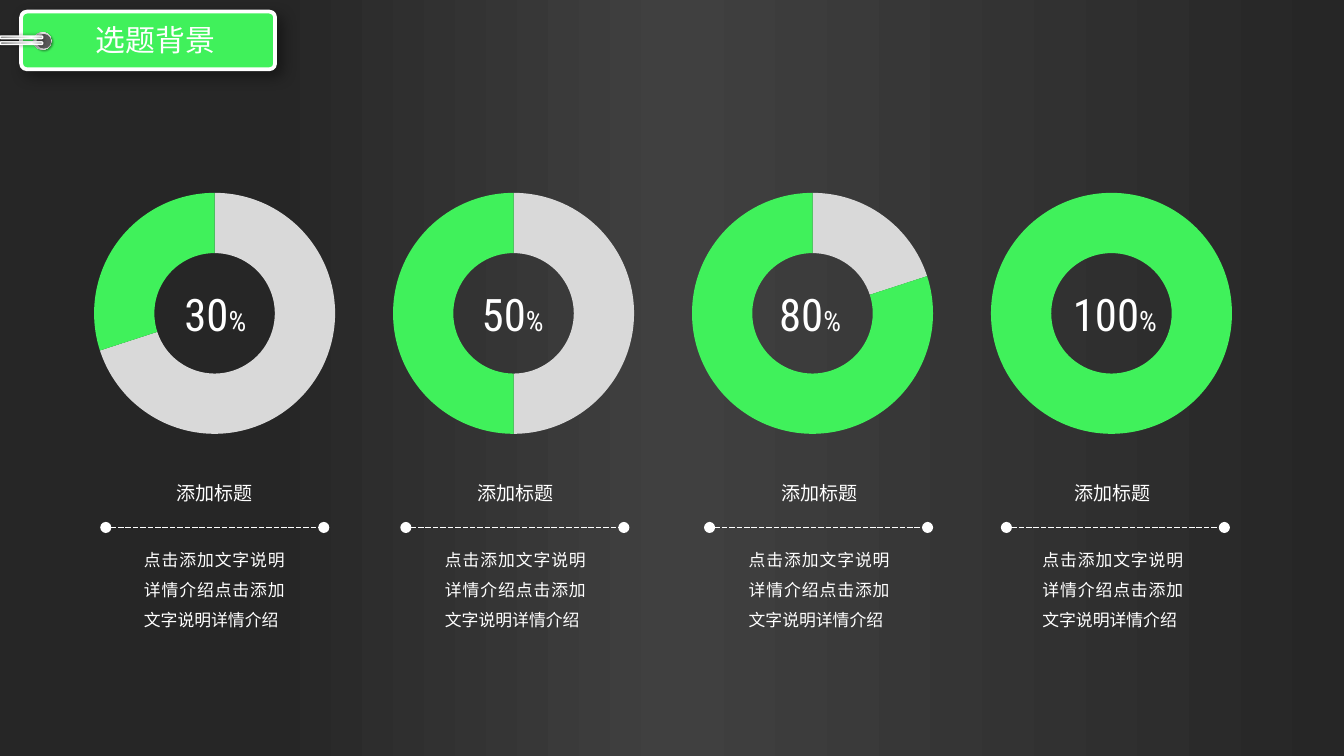
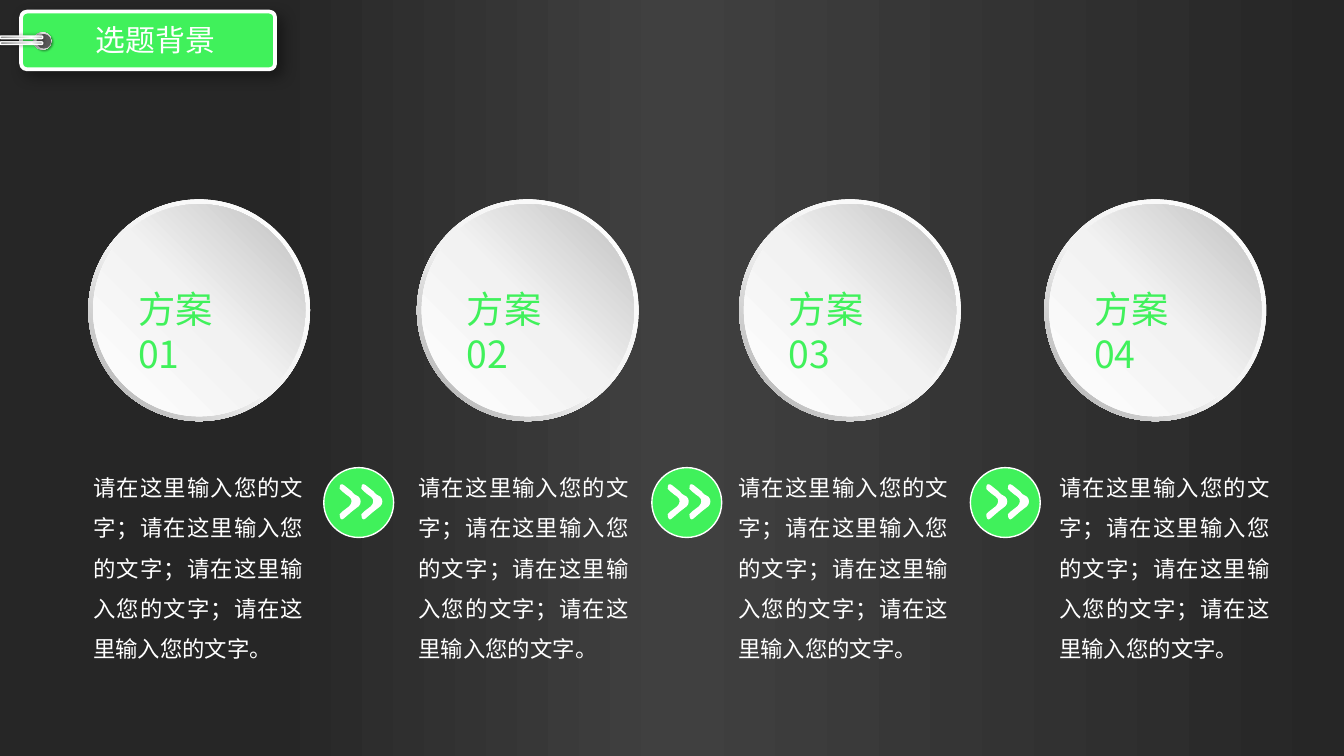
from lxml import etree
from pptx import Presentation
from pptx.chart.data import CategoryChartData
from pptx.dml.color import RGBColor
from pptx.enum.chart import XL_CHART_TYPE
from pptx.enum.dml import MSO_LINE
from pptx.enum.shapes import MSO_CONNECTOR, MSO_SHAPE
from pptx.enum.text import MSO_ANCHOR, MSO_AUTO_SIZE, PP_ALIGN
from pptx.oxml.ns import qn
from pptx.util import Cm, Pt

DOUGHNUT = XL_CHART_TYPE.DOUGHNUT
STRAIGHT = MSO_CONNECTOR.STRAIGHT
SHORT_DASH = MSO_LINE.SQUARE_DOT
OVAL, DONUT, ROUNDED = MSO_SHAPE.OVAL, MSO_SHAPE.DONUT, MSO_SHAPE.ROUNDED_RECTANGLE
TOP = MSO_ANCHOR.TOP
GROW = MSO_AUTO_SIZE.SHAPE_TO_FIT_TEXT
LEFT, CENTER, JUSTIFY = PP_ALIGN.LEFT, PP_ALIGN.CENTER, PP_ALIGN.JUSTIFY

GREEN = RGBColor(0x40, 0xF1, 0x5B)
WHITE = RGBColor(0xFF, 0xFF, 0xFF)
BLACK = RGBColor(0x00, 0x00, 0x00)
SILVER = RGBColor(0xD9, 0xD9, 0xD9)
PALE = RGBColor(0xF2, 0xF2, 0xF2)
LIGHT = RGBColor(0xBF, 0xBF, 0xBF)
MID = RGBColor(0xA6, 0xA6, 0xA6)
STEEL = RGBColor(0x80, 0x80, 0x80)
IRON = RGBColor(0x59, 0x59, 0x59)
CHARCOAL = RGBColor(0x40, 0x40, 0x40)
NIGHT = RGBColor(0x26, 0x26, 0x26)

BACKDROP = [(0, NIGHT), (20, NIGHT), (50, CHARCOAL), (100, NIGHT)]
RIVET = [(0, WHITE), (17, MID), (35, PALE), (55, MID), (75, PALE), (100, MID)]
ROD = [(0, STEEL), (23, MID), (52, SILVER), (74, WHITE), (100, MID)]
RING = [(0, WHITE), (55, PALE), (100, MID)]
DISC = [(0, WHITE), (51, PALE), (100, LIGHT)]

CJK = "Noto Sans CJK SC"
CONDENSED = "Roboto Condensed"

TITLE = "选题背景"
SHARE_HEADING = "添加标题"
SHARE_DETAIL = "点击添加文字说明详情介绍点击添加文字说明详情介绍"
SHARES = [
    {"percent": 30, "label_center": 4.07, "text_center": 4.05, "rule_center": 4.06},
    {"percent": 50, "label_center": 9.69, "text_center": 9.74, "rule_center": 9.73},
    {"percent": 80, "label_center": 15.31, "text_center": 15.48, "rule_center": 15.47},
    {"percent": 100, "label_center": 21.07, "text_center": 21.03, "rule_center": 21.08},
]
PLAN_DETAIL = "请在这里输入您的文字；" * 3 + "请在这里输入您的文字。"
PLANS = [
    {"name": "方案01", "disc": 1.67, "detail": 1.58, "arrow": 6.12},
    {"name": "方案02", "disc": 7.88, "detail": 7.73, "arrow": 12.32},
    {"name": "方案03", "disc": 13.97, "detail": 13.77, "arrow": 18.34},
    {"name": "方案04", "disc": 19.74, "detail": 19.84, "arrow": None},
]
CHEVRON = [
    [(36, 43)], [(23, 53)],
    [(18, 58), (13, 61), (8, 66)],
    [(3, 71), (0, 66), (0, 58)],
    [(5, 53)], [(18, 43)],
    [(23, 38), (25, 30), (18, 25)],
    [(13, 23), (10, 18), (5, 15)],
    [(0, 10)],
    [(0, 0), (3, 0), (8, 3)],
    [(23, 15)],
    [(25, 18), (30, 23), (36, 25)],
    [(41, 30), (41, 38), (36, 43)],
]


def lengths(*values):
    return [Cm(value) for value in values]


def add_xml(parent, tag, **attributes):
    return etree.SubElement(parent, qn(tag), {key: str(value) for key, value in attributes.items()})


def set_gradient(fill, holder, stops, angle):
    fill.gradient()
    gradient = next(holder.iter(qn("a:gradFill")))
    stop_list = gradient.find(qn("a:gsLst"))
    for stop in list(stop_list):
        stop_list.remove(stop)
    for position, color in stops:
        stop = add_xml(stop_list, "a:gs", pos=position * 1000)
        add_xml(stop, "a:srgbClr", val=color)
    gradient.find(qn("a:lin")).set("ang", str(angle * 60000))


def paint(shape, fill, angle=0, line=None):
    shape.shadow.inherit = False
    if isinstance(fill, list):
        set_gradient(shape.fill, shape._element.spPr, fill, angle)
    else:
        shape.fill.solid()
        shape.fill.fore_color.rgb = fill
    if line:
        shape.line.color.rgb = WHITE
        shape.line.width = Pt(line)
    else:
        shape.line.fill.background()


def add_figure(shapes, kind, frame, fill, angle=0, line=None, adjust=None, rotation=0):
    shape = shapes.add_shape(kind, *lengths(*frame))
    if adjust is not None:
        shape.adjustments[0] = adjust
    shape.rotation = rotation
    paint(shape, fill, angle, line)
    return shape


def cast_shadow(shape, blur, distance, direction):
    effects = shape._element.spPr.find(qn("a:effectLst"))
    shadow = add_xml(effects, "a:outerShdw", blurRad=Pt(blur), dist=Pt(distance),
                     dir=direction * 60000, algn="ctr", rotWithShape=0)
    color = add_xml(shadow, "a:srgbClr", val=BLACK)
    add_xml(color, "a:alpha", val=40000)


def write_text(box, spans, font, color=WHITE, align=CENTER, spacing=None):
    frame = box.text_frame
    frame.word_wrap = True
    frame.auto_size = GROW
    frame.vertical_anchor = TOP
    para = frame.paragraphs[0]
    para.alignment = align
    if spacing:
        para.line_spacing = spacing
    for text, size in spans:
        span = para.add_run()
        span.text = text
        span.font.size = Pt(size)
        span.font.color.rgb = color
        span.font.name = font
        add_xml(span._r.get_or_add_rPr(), "a:ea", typeface=font)


def add_text(shapes, frame, spans, font, **style):
    box = shapes.add_textbox(*lengths(*frame))
    write_text(box, spans, font, **style)
    return box


def add_titled_slide(deck):
    slide = deck.slides.add_slide(deck.slide_layouts[5])
    shapes = slide.shapes
    tag = add_figure(shapes, ROUNDED, (0.4, 0.22, 4.8, 1.09), GREEN, line=2, adjust=0.1)
    cast_shadow(tag, 8, 4, 45)
    rivet = shapes.add_group_shape().shapes
    rim = add_figure(rivet, OVAL, (0.64, 0.61, 0.33, 0.33), RIVET, 45, rotation=270)
    cast_shadow(rim, 1, 1, 45)
    add_figure(rivet, OVAL, (0.69, 0.64, 0.28, 0.28), IRON, rotation=270)
    rods = shapes.add_group_shape().shapes
    for top in (0.41, 0.3):
        rod = add_figure(rods, ROUNDED, (0.38, top, 0.05, 0.81), ROD, 90,
                         line=0.75, adjust=0.5, rotation=270)
        cast_shadow(rod, 2, 0, 0)
    title = shapes.title
    title.left, title.top, title.width, title.height = lengths(0.68, 0.29, 4.52, 0.94)
    write_text(title, [(TITLE, 16)], CJK)
    shapes._spTree.append(title._element)
    return slide


def add_ring_chart(shapes, left, percent):
    data = CategoryChartData()
    data.categories = ["1", "2"]
    data.add_series("Series 1", (100 - percent, percent))
    chart = shapes.add_chart(DOUGHNUT, *lengths(left, 3.15, 9.88, 5.64), data).chart
    chart.has_legend = False
    chart.has_title = False
    chart.font.size = Pt(10)
    chart.font.name = "Calibri"
    chart.font.color.rgb = BLACK
    plot = chart.plots[0]
    plot.vary_by_categories = True
    for index, color in enumerate((SILVER, GREEN)):
        look = plot.series[0].points[index].format
        look.fill.solid()
        look.fill.fore_color.rgb = color
        look.line.fill.background()
    plot._element.find(qn("c:holeSize")).set("val", "75")
    area = plot._element.getparent()
    for old in area.findall(qn("c:layout")):
        area.remove(old)
    layout = add_xml(area, "c:layout")
    area.insert(0, layout)
    manual = add_xml(layout, "c:manualLayout")
    settings = [("layoutTarget", "inner"), ("xMode", "edge"), ("yMode", "edge"),
                ("x", 0.213), ("y", 0.088), ("w", 0.539), ("h", 0.808)]
    for name, value in settings:
        add_xml(manual, f"c:{name}", val=value)


def add_dotted_rule(shapes, center):
    rule = shapes.add_connector(STRAIGHT, *lengths(center - 2.06, 9.97, center + 2.06, 9.97))
    rule.line.color.rgb = WHITE
    rule.line.width = Pt(1)
    rule.line.dash_style = SHORT_DASH
    outline = rule.line._get_or_add_ln()
    add_xml(outline, "a:headEnd", type="oval")
    add_xml(outline, "a:tailEnd", type="oval")
    add_xml(rule._element.spPr, "a:effectLst")


def build_shares(deck):
    shapes = add_titled_slide(deck).shapes
    for index, share in enumerate(SHARES):
        add_ring_chart(shapes, -0.71 + index * 5.65, share["percent"])
    for share in SHARES:
        add_text(shapes, (share["label_center"] - 1.51, 5.29, 3.02, 1.27),
                 [(str(share["percent"]), 24), ("%", 15)], CONDENSED)
    for share in SHARES:
        add_text(shapes, (share["text_center"] - 1.71, 8.98, 3.42, 0.69),
                 [(SHARE_HEADING, 10.2)], CONDENSED)
    for share in SHARES:
        add_text(shapes, (share["text_center"] - 1.58, 10.07, 3.16, 1.98),
                 [(SHARE_DETAIL, 9)], CJK, align=JUSTIFY, spacing=1.5)
    for share in SHARES:
        add_dotted_rule(shapes, share["rule_center"])


def add_chevron(shapes, left, top):
    points = [point for segment in CHEVRON for point in segment]
    builder = shapes.build_freeform(*points[0], scale=Cm(0.01))
    builder.add_line_segments(points[1:], close=True)
    chevron = builder.convert_to_shape(*lengths(left, top))
    outline = next(chevron._element.iter(qn("a:path")))
    strokes = iter(outline.findall(qn("a:lnTo")))
    for segment in CHEVRON[1:]:
        parts = [next(strokes) for point in segment]
        if len(parts) == 3:
            curve = etree.Element(qn("a:cubicBezTo"))
            parts[0].addprevious(curve)
            for part in parts:
                curve.append(part[0])
                outline.remove(part)
    paint(chevron, WHITE)


def add_arrow(shapes, left):
    arrow = shapes.add_group_shape().shapes
    add_figure(arrow, OVAL, (left, 8.84, 1.32, 1.32), GREEN, line=0.75)
    for offset in (0.71, 0.3):
        add_chevron(arrow, left + offset, 9.14)


def build_plans(deck):
    shapes = add_titled_slide(deck).shapes
    for plan in PLANS:
        left = plan["disc"]
        badge = shapes.add_group_shape().shapes
        add_figure(badge, DONUT, (left, 3.77, 4.19, 4.19), RING, 135, adjust=0.05)
        add_figure(badge, OVAL, (left + 0.09, 3.86, 4.01, 4.01), DISC, 315)
        add_text(badge, (left + 0.69, 5.28, 2.64, 1.12), [(plan["name"], 20)], CJK,
                 color=GREEN, align=LEFT)
        detail = add_text(shapes, (plan["detail"], 8.61, 4.34, 4.04), [(PLAN_DETAIL, 12)],
                          CJK, align=JUSTIFY, spacing=1.5)
        frame = detail.text_frame
        frame.margin_left = frame.margin_right = Cm(0.18)
        frame.margin_top = frame.margin_bottom = Cm(0.1)
        if plan["arrow"]:
            add_arrow(shapes, plan["arrow"])


def main():
    deck = Presentation()
    deck.slide_width, deck.slide_height = lengths(25.4, 14.29)
    master = deck.slide_master
    set_gradient(master.background.fill, master._element.cSld, BACKDROP, 0)
    build_shares(deck)
    build_plans(deck)
    deck.save("out.pptx")


if __name__ == "__main__":
    main()
